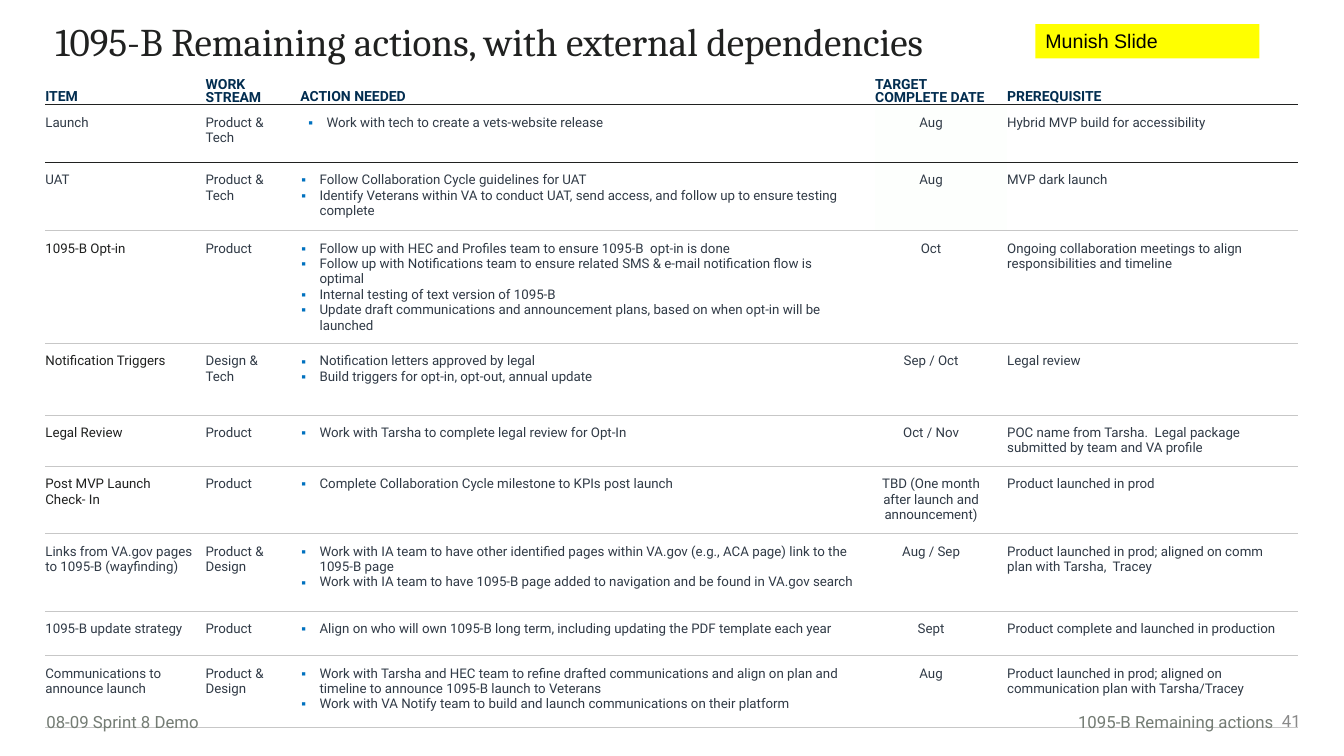
"""Build the slide of remaining 1095-B actions and their dependencies."""
from lxml.etree import SubElement
from pptx import Presentation
from pptx.dml.color import RGBColor
from pptx.enum.shapes import MSO_SHAPE
from pptx.enum.text import MSO_ANCHOR, MSO_AUTO_SIZE, PP_ALIGN
from pptx.oxml.ns import qn
from pptx.util import Inches, Pt

HUES = {"ink": "202120", "navy": "022D50", "slate": "303A46", "rule": "C7C7C7",
        "bullet": "0071BF", "tint": "FDFFFD", "foot": "747C74", "page": "8A8A8A",
        "yellow": "FFFF00", "black": "000000"}
WIDTHS = [1.59, 0.94, 5.7, 1.31, 2.88]
HEIGHTS = [0.46, 0.57, 0.68, 1.12, 0.71, 0.5, 0.67, 0.77, 0.44, 0.71]
HEADS = ["ITEM", "WORK STREAM", "ACTION NEEDED", "TARGET\nCOMPLETE DATE", "PREREQUISITE"]
ROWS = [
    ["Launch", "Product & Tech", "Work with tech to create a vets-website release",
     "Aug", "Hybrid MVP build for accessibility"],
    ["UAT", "Product & Tech",
     "Follow Collaboration Cycle guidelines for UAT\n"
     "Identify Veterans within VA to conduct UAT, send access, and follow up to ensure "
     "testing complete",
     "Aug", "MVP dark launch"],
    ["1095-B Opt-in", "Product",
     "Follow up with HEC and Profiles team to ensure 1095-B  opt-in is done\n"
     "Follow up with Notifications team to ensure related SMS & e-mail notification flow "
     "is optimal\n"
     "Internal testing of text version of 1095-B\n"
     "Update draft communications and announcement plans, based on when opt-in will be "
     "launched",
     "Oct", "Ongoing collaboration meetings to align responsibilities and timeline"],
    ["Notification Triggers", "Design & Tech",
     "Notification letters approved by legal\n"
     "Build triggers for opt-in, opt-out, annual update",
     "Sep / Oct", "Legal review"],
    ["Legal Review", "Product", "Work with Tarsha to complete legal review for Opt-In",
     "Oct / Nov", "POC name from Tarsha.  Legal package submitted by team and VA profile"],
    ["Post MVP Launch\nCheck- In", "Product",
     "Complete Collaboration Cycle milestone to KPIs post launch",
     "TBD (One month after launch and announcement)", "Product launched in prod"],
    ["Links from VA.gov pages to 1095-B (wayfinding)", "Product & Design",
     "Work with IA team to have other identified pages within VA.gov (e.g., ACA page) "
     "link to the 1095-B page\n"
     "Work with IA team to have 1095-B page added to navigation and be found in VA.gov "
     "search",
     "Aug / Sep", "Product launched in prod; aligned on comm plan with Tarsha,  Tracey"],
    ["1095-B update strategy", "Product",
     "Align on who will own 1095-B long term, including updating the PDF template each year",
     "Sept", "Product complete and launched in production"],
    ["Communications to announce launch", "Product & Design",
     "Work with Tarsha and HEC team to refine drafted communications and align on plan "
     "and timeline to announce 1095-B launch to Veterans\n"
     "Work with VA Notify team to build and launch communications on their platform",
     "Aug", "Product launched in prod; aligned on communication plan with Tarsha/Tracey"],
]


def style(par, size, hue, face="Roboto", bold=False, align=PP_ALIGN.LEFT):
    par.alignment = align
    font = par.font
    font.size, font.name, font.bold = Pt(size), face, bold
    font.color.rgb = RGBColor.from_string(HUES[hue])


def border(cell, side, hue, width):
    line = SubElement(cell._tc.get_or_add_tcPr(), qn("a:" + side), w=str(Pt(width)))
    fill = SubElement(line, qn("a:solidFill"))
    SubElement(fill, qn("a:srgbClr"), val=HUES[hue])


deck = Presentation()
deck.slide_width, deck.slide_height = Inches(13.33), Inches(7.5)
slide = deck.slides.add_slide(deck.slide_layouts[5])

title = slide.shapes.title
title.left, title.top = Inches(0.45), Inches(0.17)
title.width, title.height = Inches(13), Inches(0.67)
frame = title.text_frame
frame.text = "1095-B Remaining actions, with external dependencies"
frame.vertical_anchor = MSO_ANCHOR.TOP
frame.auto_size = MSO_AUTO_SIZE.NONE
frame.paragraphs[0].line_spacing = 0.9
style(frame.paragraphs[0], 28, "ink", "Cambria")

holder = slide.shapes.add_table(len(HEIGHTS), len(WIDTHS), Inches(0.45), Inches(0.58),
                                Inches(sum(WIDTHS)), Inches(sum(HEIGHTS)))
table = holder.table
table.first_row = table.horz_banding = False
table._tbl.tblPr.find(qn("a:tableStyleId")).text = "{2D5ABB26-0587-4C30-8999-92F81FD0307C}"
for col, width in zip(table.columns, WIDTHS):
    col.width = Inches(width)
for row, height in zip(table.rows, HEIGHTS):
    row.height = Inches(height)

for r, texts in enumerate([HEADS] + ROWS):
    for c, text in enumerate(texts):
        cell = table.cell(r, c)
        cell.text = text
        pars = cell.text_frame.paragraphs
        cell.margin_left = 0
        if r == 0:
            cell.vertical_anchor = MSO_ANCHOR.BOTTOM
            cell.margin_top, cell.margin_bottom = Inches(0.03), 0
            cell.margin_right = Inches(0.03)
        else:
            tight = r >= 7 and c in (0, 2) or r >= 8 and c == 4
            cell.margin_top = Inches(0.1)
            cell.margin_bottom = Inches(0 if r == 8 else 0.1)
            cell.margin_right = Inches(0 if tight else 0.2)
            if r > 1:
                border(cell, "lnT", *(("ink", 0.75) if r == 2 else ("rule", 1)))
            else:
                border(cell, "lnT", "ink", 0.75)
        border(cell, "lnB", *(("ink", 0.75) if r < 2 else ("rule", 1)))
        if c == 3 and r in (1, 2):
            cell.fill.solid()
            cell.fill.fore_color.rgb = RGBColor.from_string(HUES["tint"])
        else:
            cell.fill.background()
        for par in pars:
            if r == 0:
                par.line_spacing = 0.8 if c in (1, 3) else 1.15
                style(par, 10, "navy", bold=True)
                continue
            if c == 2:
                props = par._p.get_or_add_pPr()
                props.set("marL", str(Inches(0.26 if r == 1 else 0.19)))
                props.set("indent", str(Inches(-0.18)))
                tone = SubElement(props, qn("a:buClr"))
                SubElement(tone, qn("a:srgbClr"), val=HUES["bullet"])
                SubElement(props, qn("a:buFont"), typeface="Arial")
                SubElement(props, qn("a:buChar"), char="▪")
            style(par, 9.5, "ink" if c == 0 and 3 <= r <= 6 else "slate",
                  align=PP_ALIGN.CENTER if c == 3 else PP_ALIGN.LEFT)

for text, x, y, w, h, hue, inset, align in [
    ("41", 12.56, 6.95, 0.44, 0.4, "page", 0.1, PP_ALIGN.RIGHT),
    ("1095-B Remaining actions", 10.54, 7.01, 2.19, 0.3, "foot", 0.1, PP_ALIGN.RIGHT),
    ("08-09 Sprint 8 Demo", 0.46, 7.01, 2.98, 0.3, "foot", 0, PP_ALIGN.LEFT),
]:
    box = slide.shapes.add_textbox(Inches(x), Inches(y), Inches(w), Inches(h))
    frame = box.text_frame
    frame.text = text
    frame.word_wrap = True
    frame.margin_left = Inches(inset)
    frame.vertical_anchor = MSO_ANCHOR.MIDDLE
    style(frame.paragraphs[0], 12, hue, align=align)

tag = slide.shapes.add_shape(MSO_SHAPE.RECTANGLE, Inches(10.27), Inches(0.24),
                             Inches(2.22), Inches(0.34))
tag.shadow.inherit = False
tag.fill.solid()
tag.fill.fore_color.rgb = RGBColor.from_string(HUES["yellow"])
tag.line.fill.background()
tag.text_frame.text = "Munish Slide"
tag.text_frame.vertical_anchor = MSO_ANCHOR.TOP
style(tag.text_frame.paragraphs[0], 14, "black", "Arial")

deck.save("out.pptx")
